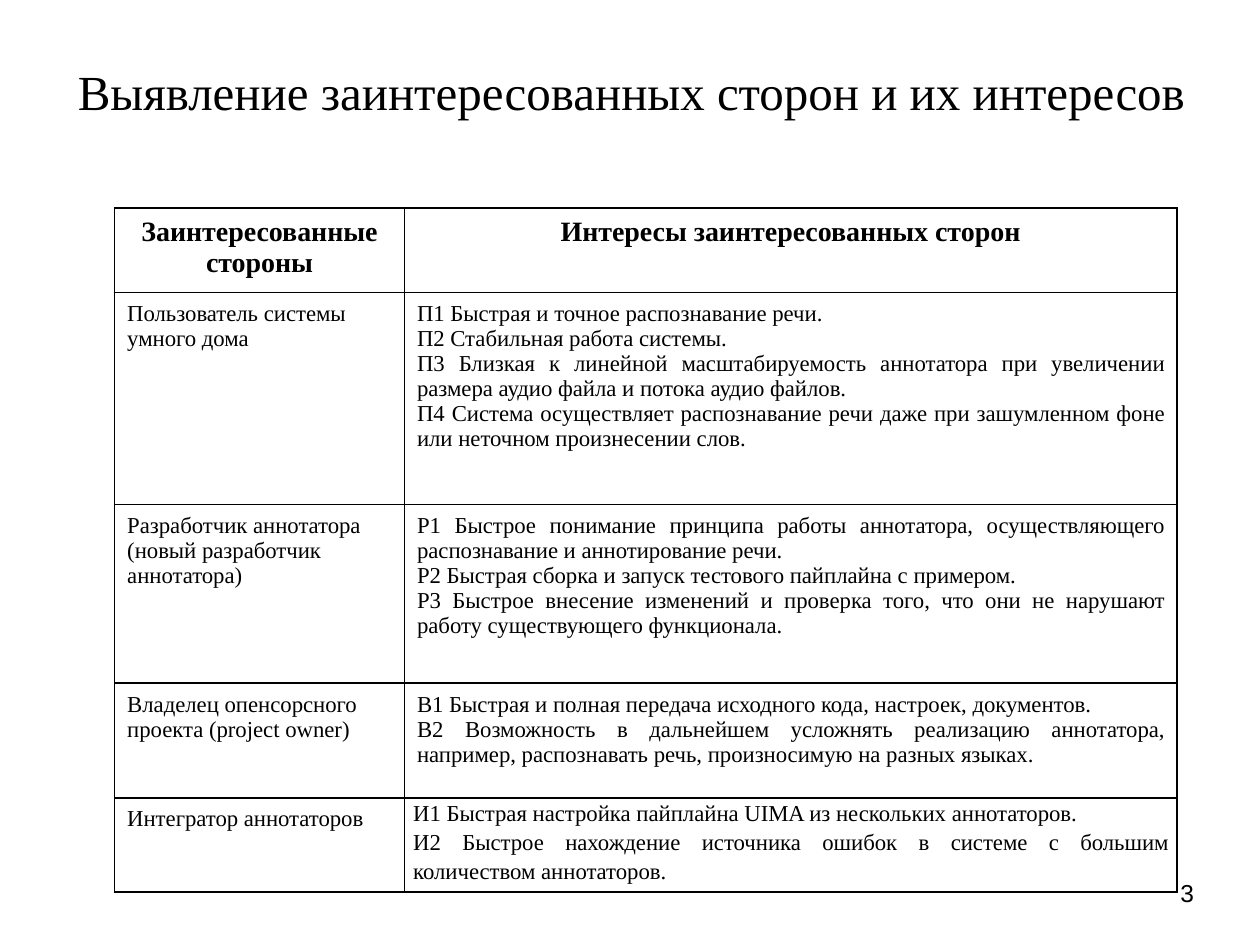
"""Build a slide with a table of stakeholders and their interests."""
from dataclasses import dataclass

from lxml import etree
from pptx import Presentation
from pptx.dml.color import RGBColor
from pptx.enum.text import MSO_ANCHOR, PP_ALIGN
from pptx.oxml.ns import qn
from pptx.util import Inches, Pt

LEFT, CENTER, JUSTIFY = PP_ALIGN.LEFT, PP_ALIGN.CENTER, PP_ALIGN.JUSTIFY
TOP, MIDDLE = MSO_ANCHOR.TOP, MSO_ANCHOR.MIDDLE


@dataclass(frozen=True)
class Theme:
    """Colours, fonts and type sizes of the slide."""
    ink: str = "000000"
    serif: str = "Times New Roman"
    sans: str = "Arial"
    title: int = 28
    header: int = 16
    body: int = 13
    number: int = 14
    border: float = 1


@dataclass(frozen=True)
class TextStyle:
    """Look of a block of text; insets are horizontal and vertical inches."""
    size: int
    font: str
    align: PP_ALIGN = LEFT
    bold: bool = False
    spacing: float | None = None
    insets: tuple[float, float] = (0.1, 0.07)


@dataclass(frozen=True)
class Stakeholder:
    """One table row: who, their interests, and the row height."""
    name: str
    interests: tuple[str, ...]
    height: float
    style: TextStyle


THEME = Theme()
BOX_INSETS = (0.1, 0.1)
TITLE = TextStyle(THEME.title, THEME.serif, CENTER, insets=BOX_INSETS)
NUMBER = TextStyle(THEME.number, THEME.sans, insets=BOX_INSETS)
HEADER = TextStyle(THEME.header, THEME.serif, CENTER, bold=True)
NAME = TextStyle(THEME.body, THEME.serif)
INTERESTS = TextStyle(THEME.body, THEME.serif, JUSTIFY)
LOOSE_INTERESTS = TextStyle(THEME.body, THEME.serif, JUSTIFY, spacing=1.15, insets=(0.07, 0))

TABLE_ORIGIN = (0.91, 1.65)
COLUMN_WIDTHS = (2.3, 6.13)
HEADER_HEIGHT = 0.62
HEADINGS = ("Заинтересованные стороны", "Интересы заинтересованных сторон")
STAKEHOLDERS = (
    Stakeholder("Пользователь системы умного дома", (
        "П1 Быстрая и точное распознавание речи.",
        "П2 Стабильная работа системы.",
        "П3 Близкая к линейной масштабируемость аннотатора при увеличении "
        "размера аудио файла и потока аудио файлов.",
        "П4 Система осуществляет распознавание речи даже при зашумленном фоне "
        "или неточном произнесении слов.",
    ), 1.68, INTERESTS),
    Stakeholder("Разработчик аннотатора (новый разработчик аннотатора)", (
        "Р1 Быстрое понимание принципа работы аннотатора, осуществляющего "
        "распознавание и аннотирование речи.",
        "Р2 Быстрая сборка и запуск тестового пайплайна с примером.",
        "Р3 Быстрое внесение изменений и проверка того, что они не нарушают "
        "работу существующего функционала.",
    ), 1.42, INTERESTS),
    Stakeholder("Владелец опенсорсного проекта (project owner)", (
        "В1 Быстрая и полная передача исходного кода, настроек, документов.",
        "В2 Возможность в дальнейшем усложнять реализацию аннотатора, "
        "например, распознавать речь, произносимую на разных языках.",
    ), 0.91, INTERESTS),
    Stakeholder("Интегратор аннотаторов", (
        "И1 Быстрая настройка пайплайна UIMA из нескольких аннотаторов.",
        "И2 Быстрое нахождение источника ошибок в системе с большим "
        "количеством аннотаторов.",
    ), 0.62, LOOSE_INTERESTS),
)


def write_text(holder, text_frame, lines: tuple[str, ...], style: TextStyle) -> None:
    """Write one paragraph per line; the holder owns the margins."""
    horizontal, vertical = map(Inches, style.insets)
    holder.margin_left = holder.margin_right = horizontal
    holder.margin_top = holder.margin_bottom = vertical
    text_frame.text = "\n".join(lines)
    for paragraph in text_frame.paragraphs:
        paragraph.alignment = style.align
        if style.spacing:
            paragraph.line_spacing = style.spacing
        for run in paragraph.runs:
            run.font.name = style.font
            run.font.size = Pt(style.size)
            run.font.bold = style.bold
            run.font.color.rgb = RGBColor.from_string(THEME.ink)


def add_text(slide, box: tuple[float, ...], text: str, style: TextStyle,
             anchor: MSO_ANCHOR = TOP) -> None:
    """Add a wrapped text box."""
    text_frame = slide.shapes.add_textbox(*map(Inches, box)).text_frame
    text_frame.word_wrap = True
    text_frame.vertical_anchor = anchor
    write_text(text_frame, text_frame, (text,), style)


def fill_cell(cell, lines: tuple[str, ...], style: TextStyle) -> None:
    """Write a cell, draw its four borders and clear its fill."""
    write_text(cell, cell.text_frame, lines, style)
    properties = cell._tc.get_or_add_tcPr()
    for side in ("a:lnL", "a:lnR", "a:lnT", "a:lnB"):
        line = etree.SubElement(properties, qn(side), w=str(Pt(THEME.border)))
        fill = etree.SubElement(line, qn("a:solidFill"))
        etree.SubElement(fill, qn("a:srgbClr"), val=THEME.ink)
    cell.fill.background()


def add_stakeholder_table(slide) -> None:
    """Add the heading row and one row per stakeholder."""
    heights = (HEADER_HEIGHT, *(item.height for item in STAKEHOLDERS))
    box = (*TABLE_ORIGIN, sum(COLUMN_WIDTHS), sum(heights))
    table = slide.shapes.add_table(
        len(heights), len(COLUMN_WIDTHS), *map(Inches, box)).table
    table.first_row = table.horz_banding = False
    for column, width in zip(table.columns, COLUMN_WIDTHS):
        column.width = Inches(width)
    for row, height in zip(table.rows, heights):
        row.height = Inches(height)
    for column, heading in enumerate(HEADINGS):
        fill_cell(table.cell(0, column), (heading,), HEADER)
    for row, item in enumerate(STAKEHOLDERS, start=1):
        fill_cell(table.cell(row, 0), (item.name,), NAME)
        fill_cell(table.cell(row, 1), item.interests, item.style)


def main() -> None:
    """Build and save the presentation."""
    presentation = Presentation()
    presentation.slide_width, presentation.slide_height = Inches(10), Inches(7.5)
    slide = presentation.slides.add_slide(presentation.slide_layouts[6])
    add_text(slide, (0.35, 0.39, 9.32, 0.84),
             "Выявление заинтересованных сторон и их интересов", TITLE)
    add_stakeholder_table(slide)
    add_text(slide, (9.27, 6.8, 0.6, 0.57), "3", NUMBER, MIDDLE)
    presentation.save("out.pptx")


if __name__ == "__main__":
    main()
